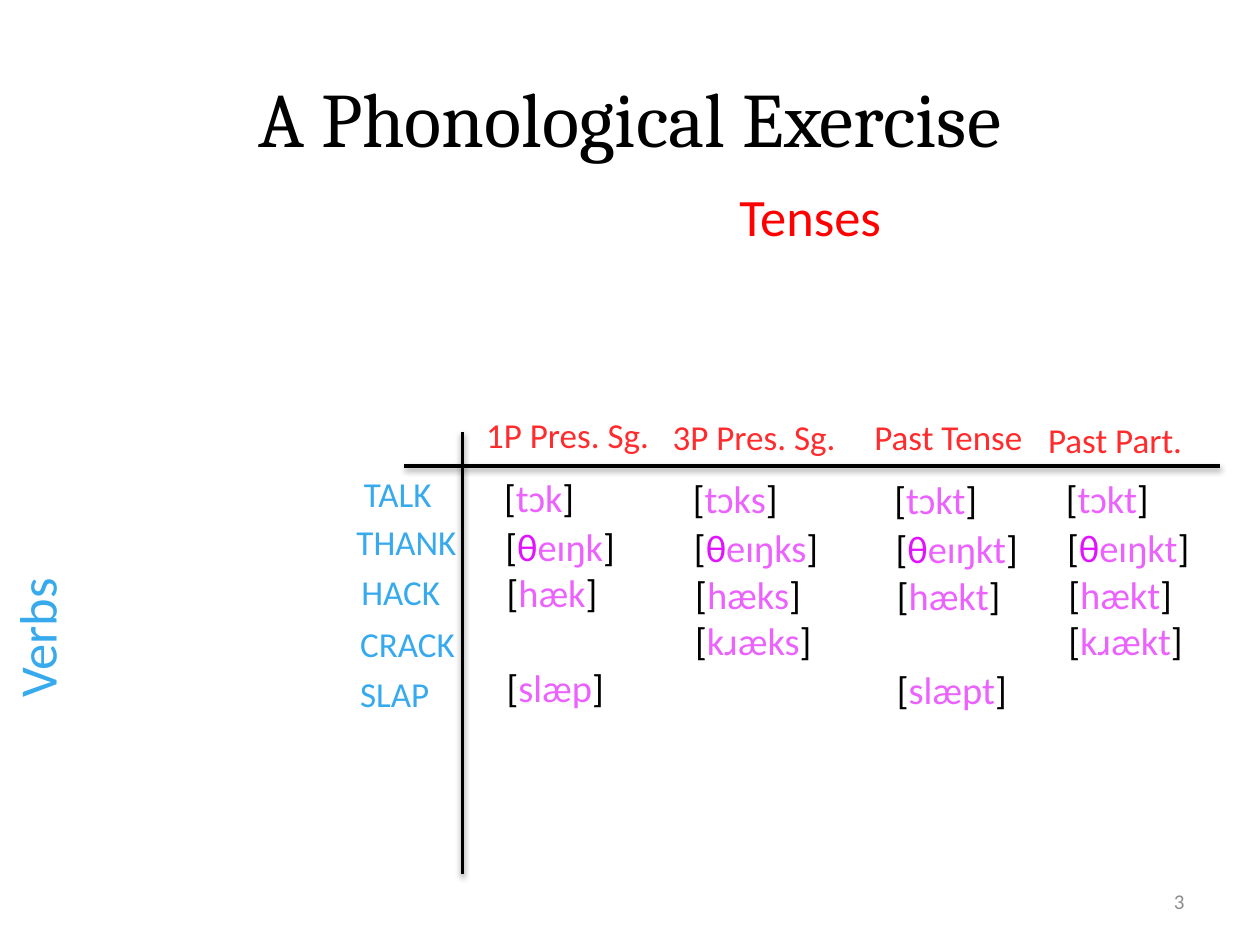
from dataclasses import dataclass

import lxml.etree
import pptx
import pptx.dml.color
import pptx.enum.text
import pptx.oxml
import pptx.oxml.ns
import pptx.util

Pt = pptx.util.Pt
RGBColor = pptx.dml.color.RGBColor
Align = pptx.enum.text.PP_ALIGN
Anchor = pptx.enum.text.MSO_ANCHOR
AutoSize = pptx.enum.text.MSO_AUTO_SIZE

BLACK = RGBColor(0x00, 0x00, 0x00)
RED = RGBColor(0xFF, 0x00, 0x00)
TENSE_RED = RGBColor(0xFF, 0x2B, 0x2C)
BLUE = RGBColor(0x37, 0xAA, 0xED)
PINK = RGBColor(0xEB, 0x62, 0xFF)
MAGENTA = RGBColor(0xE1, 0x13, 0xFF)
GRAY = RGBColor(0x8C, 0x8C, 0x8C)

SHADOW = (
    '<a:effectLst xmlns:a="http://schemas.openxmlformats.org/drawingml/2006/main">'
    '<a:outerShdw blurRad="40000" dist="20000" dir="5400000" rotWithShape="0">'
    '<a:srgbClr val="000000"><a:alpha val="38000"/></a:srgbClr>'
    '</a:outerShdw></a:effectLst>'
)


@dataclass(frozen=True)
class Span:
    text: str
    color: RGBColor


@dataclass(frozen=True)
class Label:
    spans: tuple[Span, ...]
    left: float
    top: float
    width: float
    height: float
    size: float
    font: str = "Calibri"
    align: Align = Align.LEFT
    anchor: Anchor = Anchor.TOP
    wrap: bool = False
    rotation: float = 0


@dataclass(frozen=True)
class Tense:
    name: str
    suffix: str
    suffix_width: float
    form_left: float
    form_shift: float
    left: float
    top: float
    width: float


@dataclass(frozen=True)
class Verb:
    name: str
    onset: str
    stem: str
    stem_width: float
    form_top: float
    form_shift: float
    left: float
    top: float
    width: float
    shown: tuple[int, ...] = (0, 1, 2, 3)


TENSES = (
    Tense("1P Pres. Sg.", "", 0, 281, 0, 270.7, 232.6, 108.7),
    Tense("3P Pres. Sg.", "s", 8.6, 388.8, 0.7, 377.3, 234, 108.7),
    Tense("Past Tense", "t", 7.6, 504, 1.4, 492.5, 234, 102.2),
    Tense("Past Part.", "t", 7.6, 602, 0.7, 591.8, 235.4, 92.9),
)

VERBS = (
    Verb("TALK", "", "tɔk", 55.4, 267.1, 0, 200.9, 266.4, 56.2),
    Verb("THANK", "θ", "eɪŋk", 77.8, 295.2, 0.7, 196.6, 293.8, 73.4),
    Verb("HACK", "", "hæk", 67, 321.8, 1.4, 199.4, 322.6, 61.2),
    Verb("CRACK", "", "kɹæk", 73.5, 348.5, 1.4, 198.7, 352.1, 69.8, (1, 3)),
    Verb("SLAP", "", "slæp", 70.6, 375.8, 1.4, 198.7, 380.9, 54.7, (0, 2)),
)


def add_label(page, label: Label) -> None:
    box = page.shapes.add_textbox(
        Pt(label.left), Pt(label.top), Pt(label.width), Pt(label.height)
    )
    box.rotation = label.rotation
    frame = box.text_frame
    frame.word_wrap = label.wrap
    frame.auto_size = AutoSize.NONE if label.wrap else AutoSize.SHAPE_TO_FIT_TEXT
    frame.vertical_anchor = label.anchor
    para = frame.paragraphs[0]
    para.alignment = label.align
    for span in label.spans:
        run = para.add_run()
        run.text = span.text
        run.font.name = label.font
        run.font.size = Pt(label.size)
        run.font.color.rgb = span.color


def add_form(page, verb: Verb, tense: Tense) -> None:
    spans = (
        Span("[", BLACK),
        Span(verb.onset, MAGENTA),
        Span(verb.stem + tense.suffix, PINK),
        Span("]", BLACK),
    )
    add_label(page, Label(
        tuple(span for span in spans if span.text),
        tense.form_left + verb.form_shift,
        verb.form_top + tense.form_shift,
        verb.stem_width + tense.suffix_width,
        33.8, 22,
    ))


def add_rule(page, left: float, top: float, right: float, bottom: float) -> None:
    rule = page.shapes.add_connector(
        pptx.enum.shapes.MSO_CONNECTOR.STRAIGHT,
        Pt(left), Pt(top), Pt(right), Pt(bottom),
    )
    rule.line.color.rgb = BLACK
    rule.line.width = Pt(2)
    properties = rule._element.find(pptx.oxml.ns.qn("p:spPr"))
    properties.append(pptx.oxml.parse_xml(SHADOW))


def main() -> None:
    deck = pptx.Presentation()
    deck.slide_width, deck.slide_height = Pt(720), Pt(540)
    page = deck.slides.add_slide(deck.slide_layouts[6])

    add_label(page, Label(
        (Span("A Phonological Exercise", BLACK),), 36, 21.6, 648, 90, 44,
        font="Cambria", align=Align.CENTER, anchor=Anchor.MIDDLE, wrap=True,
    ))
    add_label(page, Label((Span("Tenses", RED),), 415.4, 101.5, 99.4, 43.9, 30))
    add_label(page, Label(
        (Span("Verbs", BLUE),), -20.9, 342, 83.5, 43.9, 30, rotation=270,
    ))
    add_label(page, Label(
        (Span("3", GRAY),), 516, 500.5, 168, 28.8, 12,
        align=Align.RIGHT, anchor=Anchor.MIDDLE, wrap=True,
    ))

    for heading, color in [(tense, TENSE_RED) for tense in TENSES] + [
        (verb, BLUE) for verb in VERBS
    ]:
        add_label(page, Label(
            (Span(heading.name, color),),
            heading.left, heading.top, heading.width, 31.7, 20,
        ))

    add_rule(page, 264.2, 247, 264.2, 499.7)
    add_rule(page, 697, 266.4, 231.1, 266.4)

    for verb in VERBS:
        for column in verb.shown:
            add_form(page, verb, TENSES[column])

    deck.save("out.pptx")


if __name__ == "__main__":
    main()
